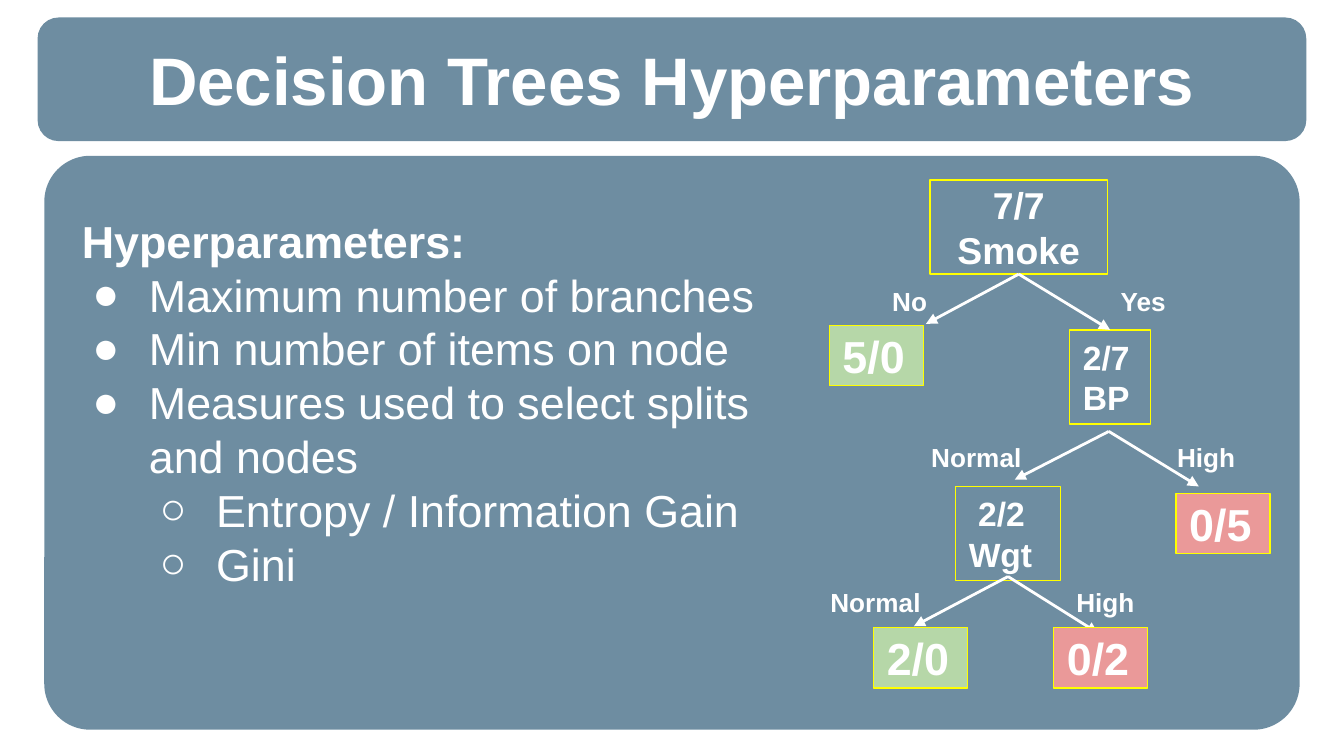
"""Build the slide on decision tree hyperparameters."""
from dataclasses import dataclass

from lxml import etree
from pptx import Presentation
from pptx.dml.color import RGBColor
from pptx.enum.shapes import MSO_CONNECTOR, MSO_SHAPE
from pptx.enum.text import MSO_ANCHOR, PP_ALIGN
from pptx.oxml.ns import qn
from pptx.util import Pt

RECT, ROUND = MSO_SHAPE.RECTANGLE, MSO_SHAPE.ROUNDED_RECTANGLE
STRAIGHT = MSO_CONNECTOR.STRAIGHT
LEFT, CENTER = PP_ALIGN.LEFT, PP_ALIGN.CENTER
TOP, MIDDLE = MSO_ANCHOR.TOP, MSO_ANCHOR.MIDDLE
EMU_PER_PX = 4572
BOTTOM_SIDE, TOP_SIDE = 2, 0


@dataclass(frozen=True)
class Theme:
    """Colours, font and type sizes."""
    font: str = "Arial"
    text: str = "FFFFFF"
    panel: str = "215170"
    panel_alpha: int = 65
    border: str = "FFFF00"
    green: str = "B6D7A8"
    red: str = "EA9999"
    title: int = 36
    body: int = 24
    root: int = 20
    node: int = 18
    label: int = 14


def px(n):
    """Turn px into EMU."""
    return n * EMU_PER_PX


def rgb(code):
    """Turn a hex code into a colour."""
    return RGBColor.from_string(code)


class Deck:
    """Hold the theme and the current slide, and draw its elements."""

    def __init__(self, prs, theme):
        """Add a blank slide to draw on."""
        self.t = theme
        self.s = prs.slides.add_slide(prs.slide_layouts[6])

    def _frame(self, sp, anchor):
        """Give a shape's text frame its margins and anchor."""
        tf = sp.text_frame
        tf.word_wrap = True
        tf.vertical_anchor = anchor
        tf.margin_left = tf.margin_right = px(20)
        tf.margin_top = tf.margin_bottom = px(20)
        return tf

    def _write(self, tf, lines, size, align=LEFT):
        """Write one bold paragraph per line."""
        for i, line in enumerate(lines):
            p = tf.add_paragraph() if i else tf.paragraphs[0]
            self._run(p, line, size, True, align)

    def _run(self, p, text, size, bold, align=LEFT):
        """Add a styled run to a paragraph."""
        p.alignment = align
        r = p.add_run()
        r.text = text
        r.font.name = self.t.font
        r.font.size = Pt(size)
        r.font.bold = bold
        r.font.color.rgb = rgb(self.t.text)

    def panel(self, x, y, w, h, radius):
        """Draw a translucent rounded panel."""
        sp = self.s.shapes.add_shape(ROUND, px(x), px(y), px(w), px(h))
        sp.shadow.inherit = False
        sp.adjustments[0] = radius
        sp.fill.solid()
        sp.fill.fore_color.rgb = rgb(self.t.panel)
        sp.line.fill.background()
        color = sp._element.spPr.find(".//" + qn("a:srgbClr"))
        etree.SubElement(color, qn("a:alpha"), val=str(self.t.panel_alpha * 1000))

    def text(self, x, y, w, h, lines, size, align=LEFT, anchor=TOP):
        """Draw a bold text box and return its text frame."""
        sp = self.s.shapes.add_textbox(px(x), px(y), px(w), px(h))
        tf = self._frame(sp, anchor)
        self._write(tf, lines, size, align)
        return tf

    def bullet(self, tf, text, level=0):
        """Append a bulleted paragraph."""
        p = tf.add_paragraph()
        p.level = level
        self._run(p, text, self.t.body, False)
        pPr = p._p.get_or_add_pPr()
        pPr.set("marL", str(px(100 * (level + 1))))
        pPr.set("indent", str(px(-84)))
        color = etree.SubElement(pPr, qn("a:buClr"))
        etree.SubElement(color, qn("a:srgbClr"), val=self.t.text)
        etree.SubElement(pPr, qn("a:buFont"), typeface=self.t.font)
        etree.SubElement(pPr, qn("a:buChar"), char="●○"[level])

    def node(self, x, y, w, h, lines, size, fill=None, align=LEFT):
        """Draw a bordered tree node."""
        sp = self.s.shapes.add_shape(RECT, px(x), px(y), px(w), px(h))
        sp.shadow.inherit = False
        if fill:
            sp.fill.solid()
            sp.fill.fore_color.rgb = rgb(fill)
        else:
            sp.fill.background()
        sp.line.color.rgb = rgb(self.t.border)
        sp.line.width = Pt(0.75)
        self._write(self._frame(sp, MIDDLE), lines, size, align)
        return sp

    def leaf(self, x, y, text, fill):
        """Draw a filled leaf node."""
        self.node(x, y, 140, 90, [text], self.t.body, fill)

    def arrow(self, start, end, source=None, target=None):
        """Draw an arrow, joined to the given nodes."""
        cx = self.s.shapes.add_connector(STRAIGHT, *map(px, start + end))
        if source:
            cx.begin_connect(source, BOTTOM_SIDE)
        if target:
            cx.end_connect(target, TOP_SIDE)
        cx.line.color.rgb = rgb(self.t.text)
        cx.line.width = Pt(1.5)
        ln = cx._element.spPr.find(qn("a:ln"))
        etree.SubElement(ln, qn("a:tailEnd"), type="triangle")
        etree.SubElement(cx._element.spPr, qn("a:effectLst"))

    def label(self, x, y, w, text):
        """Draw a branch label."""
        self.text(x, y, w, 84, [text], self.t.label)


def main():
    """Build and save the slide."""
    prs = Presentation()
    prs.slide_width, prs.slide_height = px(2000), px(1125)
    t = Theme()
    d = Deck(prs, t)

    d.panel(56, 26, 1888, 184, 0.17)
    d.panel(66, 232, 1868, 854, 0.08)
    d.text(66, 57, 1868, 120, ["Decision Trees Hyperparameters"], t.title, CENTER, MIDDLE)

    tf = d.text(102, 298, 1090, 728, ["Hyperparameters:"], t.body)
    for text, level in (
        ("Maximum number of branches", 0),
        ("Min number of items on node", 0),
        ("Measures used to select splits and nodes", 0),
        ("Entropy / Information Gain", 1),
        ("Gini", 1),
    ):
        d.bullet(tf, text, level)

    smoke = d.node(1384, 268, 264, 140, ["7/7", "Smoke"], t.root, align=CENTER)
    bp = d.node(1592, 491, 120, 140, ["2/7", "BP"], t.node)
    d.node(1422, 724, 156, 140, [" 2/2", "Wgt"], t.node)

    for start, end, source, target in (
        ((1516, 408), (1378, 482), smoke, None),
        ((1516, 408), (1652, 491), smoke, bp),
        ((1650, 642), (1510, 714), None, None),
        ((1650, 642), (1784, 724), None, None),
        ((1500, 858), (1360, 932), None, None),
        ((1500, 858), (1634, 942), None, None),
    ):
        d.arrow(start, end, source, target)

    for x, y, w, text in (
        (1308, 404, 120, "No"), (1648, 404, 120, "Yes"),
        (1366, 637, 196, "Normal"), (1732, 637, 156, "High"),
        (1216, 853, 196, "Normal"), (1582, 853, 156, "High"),
    ):
        d.label(x, y, w, text)

    for x, y, text, fill in (
        (1234, 484, "5/0", t.green), (1750, 734, "0/5", t.red),
        (1300, 934, "2/0", t.green), (1568, 934, "0/2", t.red),
    ):
        d.leaf(x, y, text, fill)

    prs.save("out.pptx")


if __name__ == "__main__":
    main()
